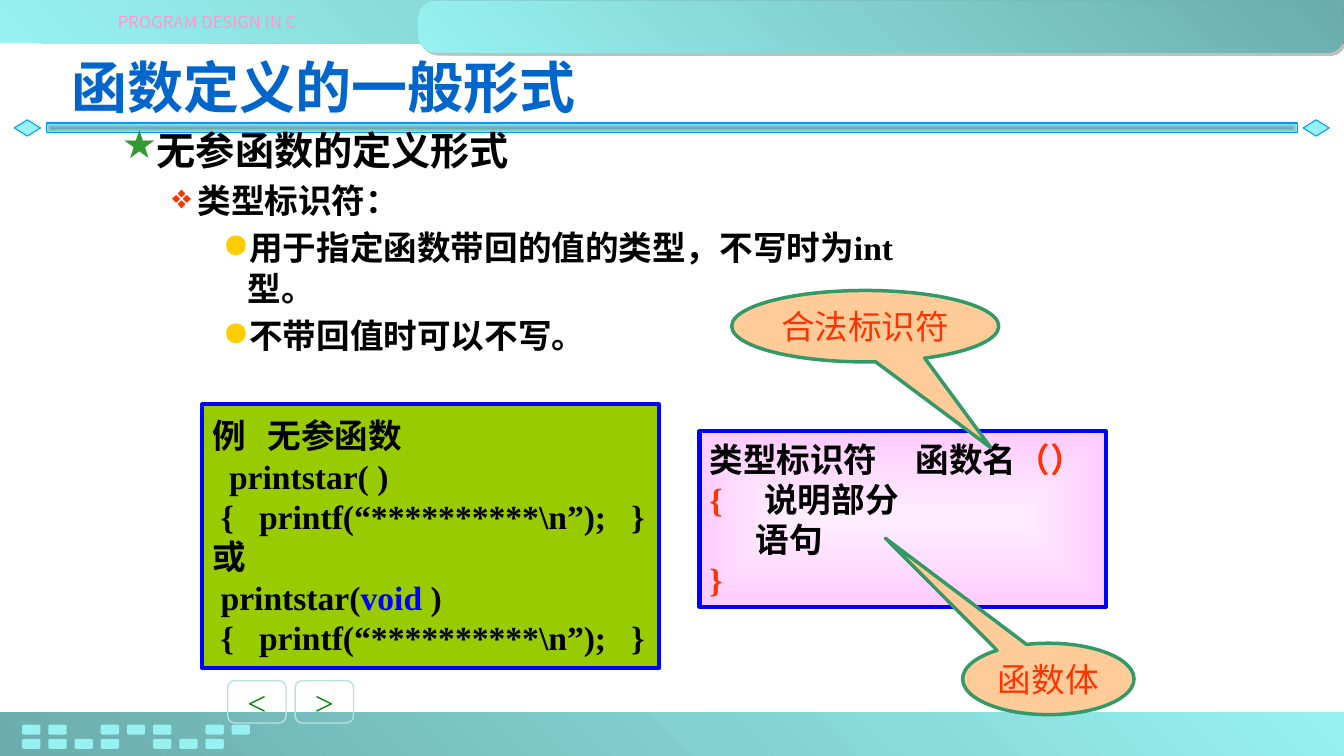
"""Build the slide on the general form of a C function definition."""
import pptx
import pptx.util
import pptx.dml.color
import pptx.enum.shapes
import pptx.enum.text
import pptx.oxml
import pptx.oxml.ns
from dataclasses import dataclass

Cm, Pt = pptx.util.Cm, pptx.util.Pt
KIND = pptx.enum.shapes.MSO_SHAPE
ALIGN = pptx.enum.text.PP_ALIGN
ANCHOR = pptx.enum.text.MSO_ANCHOR


@dataclass(frozen=True)
class Theme:
    """Colours, fonts and type sizes of the slide."""
    black: str = "000000"
    blue: str = "0000FF"
    red: str = "FF3300"
    green: str = "008000"
    title: str = "0066CC"
    pink: str = "FF99CC"
    aqua: str = "97F1F1"
    teal: str = "6CACAC"
    edge: str = "0099FF"
    button: str = "BBE0E3"
    lime: str = "99CC00"
    lilac: str = "FFCCFF"
    pale: str = "FFEEFF"
    peach: str = "FFCC99"
    callout: str = "339966"
    serif: str = "Times New Roman"
    sans: str = "Arial"
    heading: str = "Noto Sans CJK JP"
    caption: str = "Noto Sans CJK SC"
    title_size: int = 40
    lead_size: int = 28
    body_size: int = 24
    caption_size: int = 12


T = Theme()
HEADING = "函数定义的一般形式"
COURSE = "PROGRAM DESIGN IN C"
LEVELS = {
    1: ("★", "339933", T.lead_size, 2.06, 0.79),
    2: ("❖", "FF3300", T.body_size, 3.18, 0.64),
    3: ("●", "FFCC00", T.body_size, 4.45, 0.64),
}
OUTLINE = [
    (1, "无参函数的定义形式"),
    (2, "类型标识符："),
    (3, "用于指定函数带回的值的类型，不写时为int型。"),
    (3, "不带回值时可以不写。"),
]
PRINTF = [(r" {   printf(“**********\n”);   }", T.black)]
EXAMPLE = [
    [("例\t无参函数", T.black)],
    [("  printstar( )", T.black)],
    PRINTF,
    [("或", T.black)],
    [(" printstar(", T.black), ("void", T.blue), (" )", T.black)],
    PRINTF,
]
SYNTAX = [
    [("类型标识符\t函数名", T.black), ("（）", T.red)],
    [("{", T.red), ("\t说明部分", T.black)],
    [("\t语句", T.black)],
    [("}", T.red)],
]
PANELS = [
    ((17.63, 10.87, 10.24, 4.42), SYNTAX, {0: 5.2, 1: 1.38, 2: 1.17}),
    ((5.1, 10.19, 11.5, 6.65), EXAMPLE, {0: 1.4}),
]
CALLOUTS = [
    ((18.44, 7.32, 6.73, 1.8), "合法标识符", (0.47, 1.7)),
    ((24.26, 16.21, 4.32, 1.8), "函数体", (-0.95, -1.97)),
]
BUTTONS = ["<", ">"]
BANDS = [
    (KIND.RECTANGLE, (0, 17.96, 33.87, 1.09), T.teal, T.aqua),
    (KIND.RECTANGLE, (0, 0, 33.87, 1.09), T.aqua, T.teal),
    (KIND.ROUNDED_RECTANGLE, (10.54, 0.03, 23.33, 1.3), T.aqua, T.teal),
]
TILES = ["##.###.##", "####.###"]


def rgb(colour):
    """Turn a hex string into a colour."""
    return pptx.dml.color.RGBColor.from_string(colour)


def xml(markup):
    """Parse a drawing element, given without its closing bracket form."""
    tag, rest = markup.split(" ", 1)
    return pptx.oxml.parse_xml(f"<a:{tag} {pptx.oxml.ns.nsdecls('a')} {rest}")


def add_part(slide, kind, place, fill=None, line=None, weight=0.75):
    """Add a preset shape; a pair of colours makes a gradient."""
    part = slide.shapes.add_shape(kind, *map(Cm, place))
    part.shadow.inherit = False
    if isinstance(fill, tuple):
        part.fill.gradient()
        part.fill.gradient_angle = 45
        for stop, colour in zip(part.fill.gradient_stops, fill):
            stop.color.rgb = rgb(colour)
    elif fill:
        part.fill.solid()
        part.fill.fore_color.rgb = rgb(fill)
    else:
        part.fill.background()
    if line:
        part.line.color.rgb = rgb(line)
        part.line.width = Pt(weight)
    else:
        part.line.fill.background()
    return part


def centre_gradient(part):
    """Make the gradient of a part spread from its centre."""
    linear = part.element.spPr.find(".//" + pptx.oxml.ns.qn("a:lin"))
    linear.getparent().replace(linear, xml(
        'path path="shape"><a:fillToRect l="50000" t="50000" r="50000" b="50000"/></a:path>'))


def style(run, size, colour, font, bold=False):
    """Format one run."""
    run.font.size, run.font.name, run.font.bold = Pt(size), font, bold
    run.font.color.rgb = rgb(colour)


def add_label(part, text, size, colour, font):
    """Put one centred line in a part."""
    frame = part.text_frame
    frame.text = text
    frame.word_wrap = False
    frame.vertical_anchor = ANCHOR.MIDDLE
    frame.margin_left = frame.margin_right = frame.margin_top = frame.margin_bottom = 0
    frame.paragraphs[0].alignment = ALIGN.CENTER
    style(frame.paragraphs[0].runs[0], size, colour, font)


def next_paragraph(frame, index):
    """Return the first paragraph, or a new one after it."""
    return frame.add_paragraph() if index else frame.paragraphs[0]


def draw_frame(slide):
    """Draw the bands, the rule under the title and the tiles."""
    for kind, place, start, end in BANDS:
        band = add_part(slide, kind, place, (start, end))
    band.adjustments[0] = 0.33
    band.element.spPr.find(pptx.oxml.ns.qn("a:effectLst")).append(xml(
        'outerShdw dist="35560" dir="2700000"><a:srgbClr val="808080">'
        '<a:alpha val="50000"/></a:srgbClr></a:outerShdw>'))
    for left in (0.36, 32.84):
        add_part(slide, KIND.DIAMOND, (left, 3.02, 0.66, 0.41), T.aqua, T.edge)
    centre_gradient(add_part(
        slide, KIND.RECTANGLE, (1.17, 3.1, 31.52, 0.25), (T.teal, T.aqua), T.edge))
    for row, pattern in enumerate(TILES):
        for column, mark in enumerate(pattern):
            if mark == "#":
                place = (0.56 + 0.66 * column, 18.26 + 0.36 * row, 0.46, 0.25)
                add_part(slide, KIND.ROUNDED_RECTANGLE, place, T.aqua)
    course = slide.shapes.add_textbox(*map(Cm, (0.76, 0.18, 8.92, 0.74)))
    add_label(course, COURSE, T.caption_size, T.pink, T.caption)


def draw_heading(slide):
    """Place the title and the bulleted outline."""
    title = slide.shapes.title
    title.left, title.top, title.width, title.height = map(Cm, (1.55, 1.17, 21.56, 1.98))
    title.text_frame.text = HEADING
    title.text_frame.vertical_anchor = ANCHOR.MIDDLE
    title.text_frame.paragraphs[0].alignment = ALIGN.LEFT
    run = title.text_frame.paragraphs[0].runs[0]
    style(run, T.title_size, T.title, T.heading, True)
    run.font._element.append(xml(f'ea typeface="{T.heading}"/>'))
    frame = slide.shapes.add_textbox(*map(Cm, (1.55, 3.05, 21.56, 6.2))).text_frame
    frame.word_wrap = True
    for index, (level, text) in enumerate(OUTLINE):
        bullet, colour, size, indent, hang = LEVELS[level]
        paragraph = next_paragraph(frame, index)
        paragraph.text = text
        paragraph.level = level
        props = paragraph._p.get_or_add_pPr()
        props.set("marL", str(int(Cm(indent))))
        props.set("indent", str(-int(Cm(hang))))
        props.append(xml(f'buClr ><a:srgbClr val="{colour}"/></a:buClr>'))
        props.append(xml(f'buChar char="{bullet}"/>'))
        paragraph.space_before = Pt(5 if index else 0)
        style(paragraph.runs[0], size, T.black, T.serif, True)


def draw_panel(slide, place, lines, tabs, fill):
    """Draw a framed block of code."""
    panel = add_part(slide, KIND.RECTANGLE, place, fill, T.blue, 3)
    frame = panel.text_frame
    frame.word_wrap = True
    frame.margin_right = 0
    frame.vertical_anchor = ANCHOR.MIDDLE
    for index, line in enumerate(lines):
        paragraph = next_paragraph(frame, index)
        paragraph.alignment = ALIGN.LEFT
        if index in tabs:
            paragraph._p.get_or_add_pPr().append(xml(
                f'tabLst ><a:tab pos="{int(Cm(tabs[index]))}" algn="l"/></a:tabLst>'))
        for text, colour in line:
            run = paragraph.add_run()
            run.text = text
            style(run, T.body_size, colour, T.serif, True)
    return panel


def main():
    """Assemble and save the slide."""
    deck = pptx.Presentation()
    deck.slide_width, deck.slide_height = Cm(33.87), Cm(19.05)
    slide = deck.slides.add_slide(deck.slide_layouts[5])
    draw_frame(slide)
    for index, sign in enumerate(BUTTONS):
        button = add_part(slide, KIND.ROUNDED_RECTANGLE,
                          (5.74 + 1.7 * index, 17.15, 1.47, 1.07), None, T.button, 1)
        add_label(button, sign, T.body_size, T.green, T.serif)
    draw_heading(slide)
    for panel, fill in zip(PANELS, ((T.pale, T.lilac), T.lime)):
        block = draw_panel(slide, *panel, fill)
        if isinstance(fill, tuple):
            centre_gradient(block)
    for place, text, tip in CALLOUTS:
        callout = add_part(slide, KIND.OVAL_CALLOUT, place, T.peach, T.callout, 2.5)
        callout.adjustments[0], callout.adjustments[1] = tip
        add_label(callout, text, T.body_size, T.red, T.sans)
    deck.save("out.pptx")


if __name__ == "__main__":
    main()
